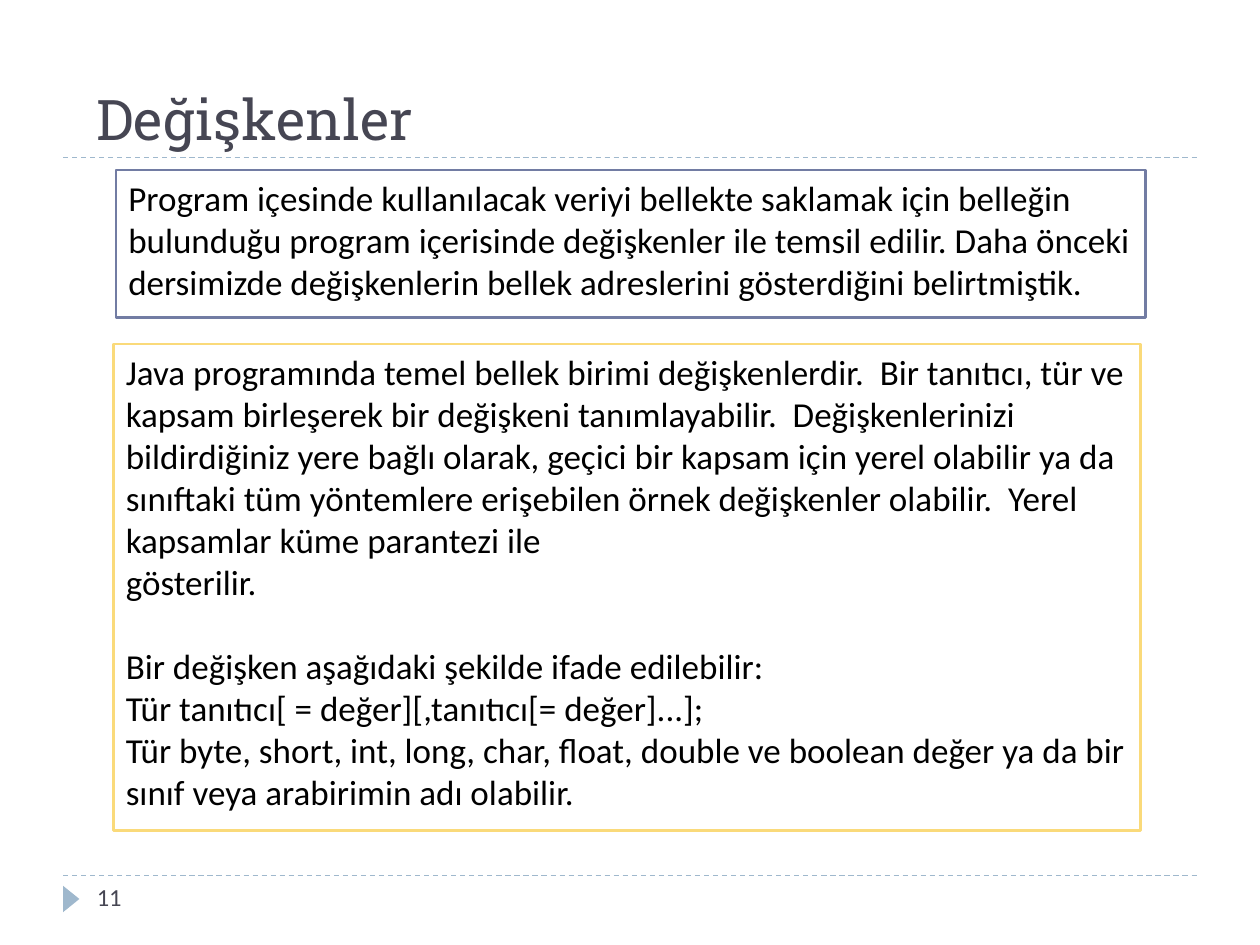
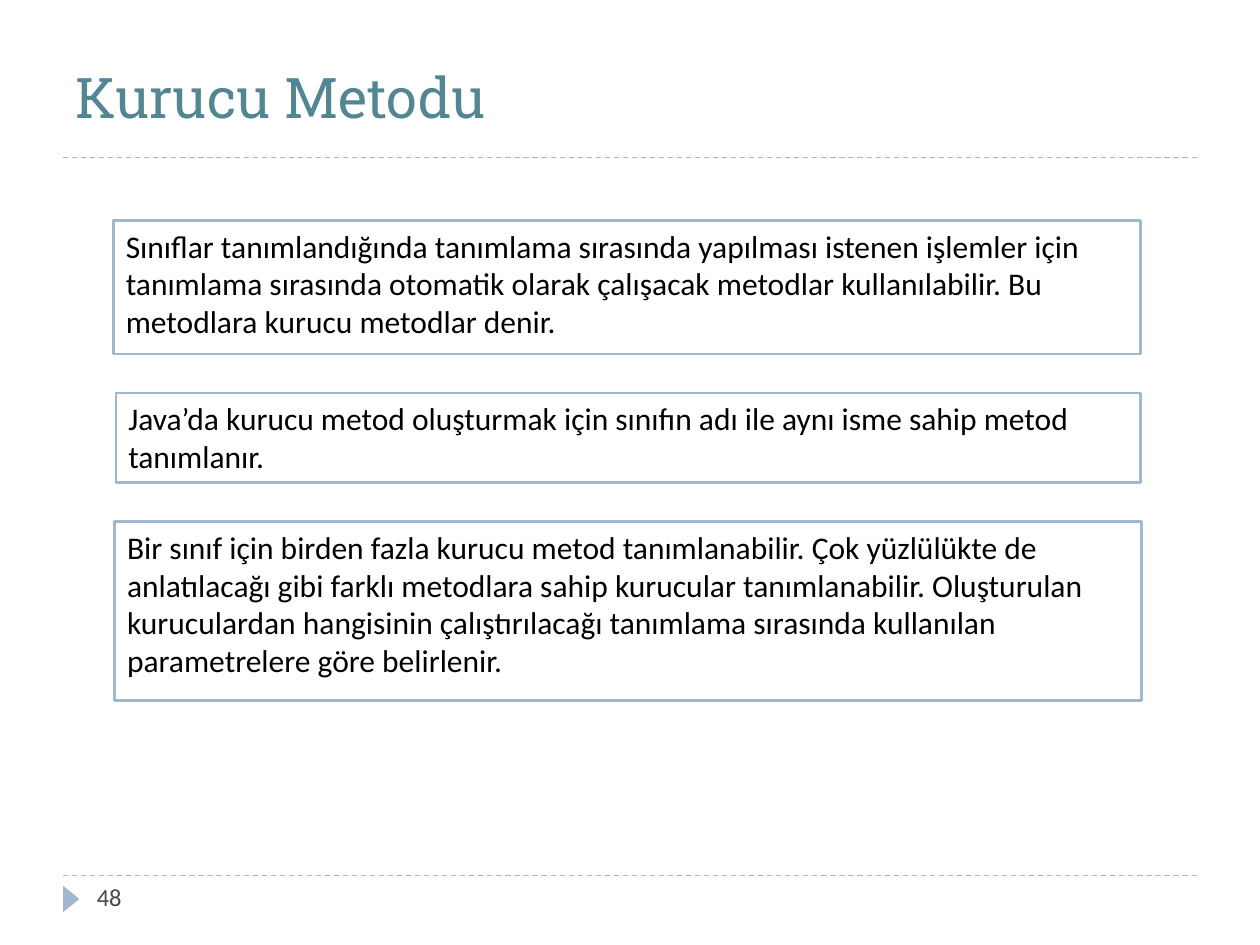
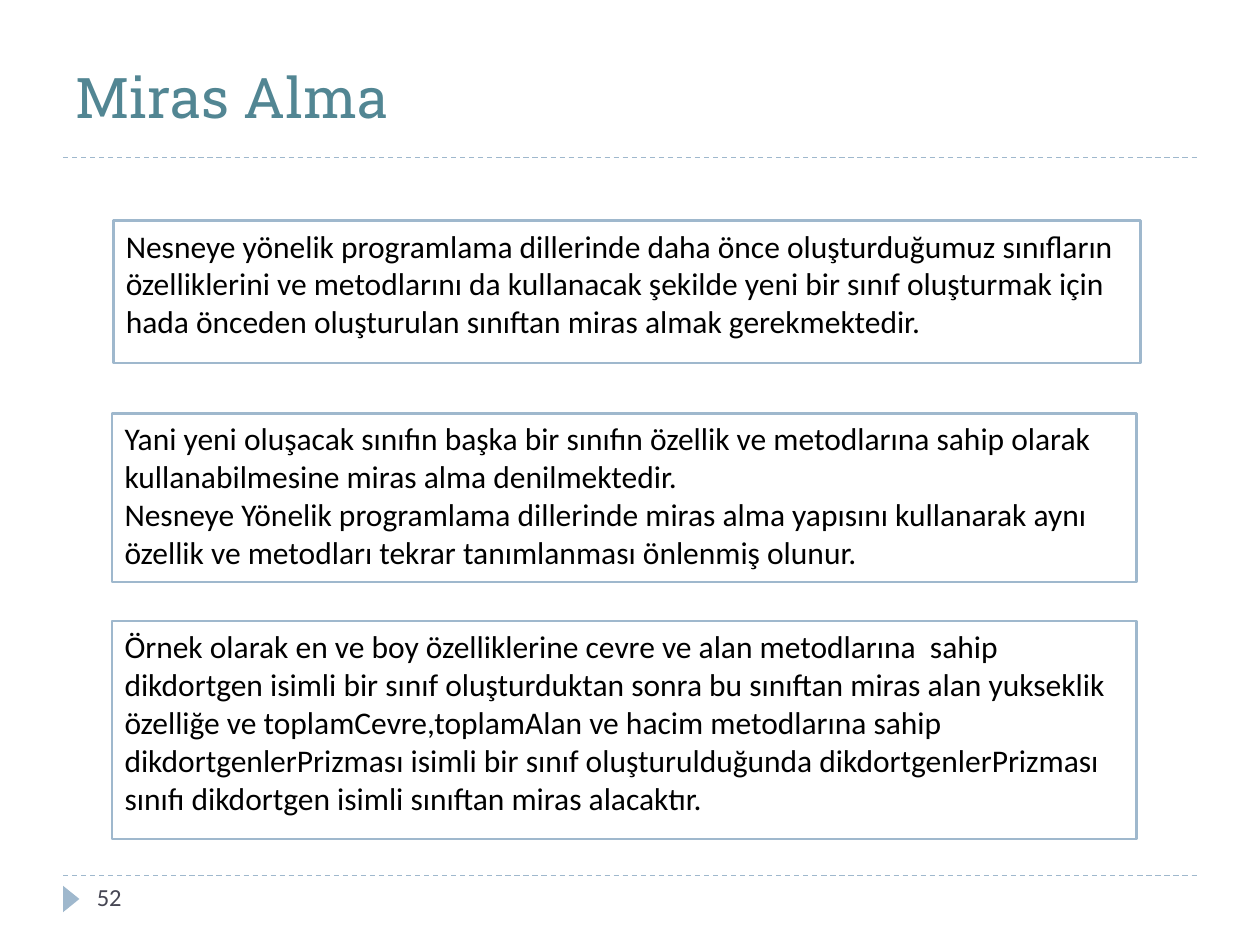
from dataclasses import dataclass

from lxml.etree import SubElement
from pptx import Presentation
from pptx.dml.color import RGBColor as RGB
from pptx.enum.dml import MSO_LINE as DASH
from pptx.enum.shapes import MSO_CONNECTOR as CONN, MSO_SHAPE as SHAPE
from pptx.enum.text import MSO_ANCHOR as ANCHOR, PP_ALIGN as ALIGN
from pptx.oxml.ns import qn
from pptx.util import Emu, Pt

# Scale: 100 px to the inch
PX = 9144

# Colours and fonts
WHITE = RGB(0xFF, 0xFF, 0xFF)
BLACK = RGB(0x00, 0x00, 0x00)
SLATE = RGB(0x46, 0x46, 0x53)
TEAL = RGB(0x52, 0x86, 0x93)
SKY = RGB(0x9F, 0xB8, 0xCD)
INDIGO = RGB(0x72, 0x7C, 0xA3)
YELLOW = RGB(0xFA, 0xDA, 0x7A)
HEAD_FONT, BODY_FONT = "Roboto Slab", "Calibri"

# Shared places
RULE_LEFT, RULE_RIGHT = 50, 950
RULE_YS = (695, 125)
MARKER = (46, 707, 21, 13)
NUMBER = (67, 695, 217, 40)
TITLE_SIZE = (900, 58)


@dataclass(frozen=True)
class Title:
    text: str
    left: int = 50
    top: int = 50
    color: RGB = TEAL


@dataclass(frozen=True)
class Para:
    text: str
    before: int = 0


@dataclass(frozen=True)
class Box:
    left: int
    top: int
    width: int
    height: int
    paras: tuple[Para, ...]
    line: RGB = SKY
    size: int = 18


@dataclass(frozen=True)
class Page:
    number: int
    title: Title
    boxes: tuple[Box, ...]


PAGES = (
    Page(11, Title("Değişkenler", 67, 67, SLATE), (
        Box(90, 273, 815, 386, (
            Para("Java programında temel bellek birimi değişkenlerdir.  Bir tanıtıcı, tür ve "
                 "kapsam birleşerek bir değişkeni tanımlayabilir.  Değişkenlerinizi "
                 "bildirdiğiniz yere bağlı olarak, geçici bir kapsam için yerel olabilir ya da "
                 "sınıftaki tüm yöntemlere erişebilen örnek değişkenler olabilir.  Yerel "
                 "kapsamlar küme parantezi ile"),
            Para("gösterilir."),
            Para("Bir değişken aşağıdaki şekilde ifade edilebilir:", before=24),
            Para("Tür tanıtıcı[ = değer][,tanıtıcı[= değer]...];"),
            Para("Tür byte, short, int, long, char, float, double ve boolean değer ya da bir "
                 "sınıf veya arabirimin adı olabilir."),
        ), YELLOW, 20),
        # Slightly wider, so that the text keeps to three lines
        Box(92, 135, 817, 117, (
            Para("Program içesinde kullanılacak veriyi bellekte saklamak için belleğin "
                 "bulunduğu program içerisinde değişkenler ile temsil edilir. Daha önceki "
                 "dersimizde değişkenlerin bellek adreslerini gösterdiğini belirtmiştik."),
        ), INDIGO, 20),
    )),
    Page(48, Title("Kurucu Metodu"), (
        Box(90, 175, 815, 106, (
            Para("Sınıflar tanımlandığında tanımlama sırasında yapılması istenen işlemler için "
                 "tanımlama sırasında otomatik olarak çalışacak metodlar kullanılabilir. Bu "
                 "metodlara kurucu metodlar denir."),
        )),
        Box(92, 312, 813, 71, (
            Para("Java’da kurucu metod oluşturmak için sınıfın adı ile aynı isme sahip metod "
                 "tanımlanır."),
        )),
        Box(91, 414, 815, 142, (
            Para("Bir sınıf için birden fazla kurucu metod tanımlanabilir. Çok yüzlülükte de "
                 "anlatılacağı gibi farklı metodlara sahip kurucular tanımlanabilir. "
                 "Oluşturulan kuruculardan hangisinin çalıştırılacağı tanımlama sırasında "
                 "kullanılan parametrelere göre belirlenir."),
        )),
    )),
    Page(52, Title("Miras Alma"), (
        Box(90, 175, 815, 113, (
            Para("Nesneye yönelik programlama dillerinde daha önce oluşturduğumuz sınıfların "
                 "özelliklerini ve metodlarını da kullanacak şekilde yeni bir sınıf oluşturmak "
                 "için hada önceden oluşturulan sınıftan miras almak gerekmektedir."),
        )),
        Box(89, 328, 813, 134, (
            Para("Yani yeni oluşacak sınıfın başka bir sınıfın özellik ve metodlarına sahip "
                 "olarak kullanabilmesine miras alma denilmektedir."),
            Para("Nesneye Yönelik programlama dillerinde miras alma yapısını kullanarak aynı "
                 "özellik ve metodları tekrar tanımlanması önlenmiş olunur."),
        )),
        Box(89, 493, 813, 173, (
            Para("Örnek olarak en ve boy özelliklerine cevre ve alan metodlarına  sahip "
                 "dikdortgen isimli bir sınıf oluşturduktan sonra bu sınıftan miras alan "
                 "yukseklik özelliğe ve toplamCevre,toplamAlan ve hacim metodlarına sahip "
                 "dikdortgenlerPrizması isimli bir sınıf oluşturulduğunda "
                 "dikdortgenlerPrizması sınıfı dikdortgen isimli sınıftan miras alacaktır."),
        )),
    )),
)


def px(*values: int) -> list[Emu]:
    return [Emu(v * PX) for v in values]


def write(tf, paras: tuple[Para, ...], font: str, size: int, color: RGB, anchor=ANCHOR.TOP) -> None:
    for name, value in {"word_wrap": True, "vertical_anchor": anchor}.items():
        setattr(tf, name, value)
    for i, para in enumerate(paras):
        p = tf.add_paragraph() if i else tf.paragraphs[0]
        for name, value in {"alignment": ALIGN.LEFT, "space_before": Pt(para.before)}.items():
            setattr(p, name, value)
        r = p.add_run()
        r.text = para.text
        for name, value in {"name": font, "size": Pt(size)}.items():
            setattr(r.font, name, value)
        r.font.color.rgb = color


def add_label(s, place: tuple[int, ...], text: str, font: str, size: int, color: RGB,
              anchor=ANCHOR.TOP) -> None:
    sp = s.shapes.add_textbox(*px(*place))
    write(sp.text_frame, (Para(text),), font, size, color, anchor)


def add_filled(s, kind: SHAPE, place: tuple[int, ...], fill: RGB):
    sp = s.shapes.add_shape(kind, *px(*place))
    sp.shadow.inherit = False
    sp.fill.solid()
    sp.fill.fore_color.rgb = fill
    return sp


def add_rule(s, y: int) -> None:
    cx = s.shapes.add_connector(CONN.STRAIGHT, *px(RULE_LEFT, y, RULE_RIGHT, y))
    for name, value in {"width": Pt(0.75), "dash_style": DASH.DASH}.items():
        setattr(cx.line, name, value)
    cx.line.color.rgb = SKY
    SubElement(cx._element.spPr, qn("a:effectLst"))


def add_box(s, box: Box) -> None:
    place = (box.left, box.top, box.width, box.height)
    sp = add_filled(s, SHAPE.ROUNDED_RECTANGLE, place, WHITE)
    sp.adjustments[0] = 0
    sp.line.color.rgb = box.line
    sp.line.width = Pt(1.5)
    write(sp.text_frame, box.paras, BODY_FONT, box.size, BLACK)


def add_frame(s, page: Page) -> None:
    # Rules, marker and page number
    for y in RULE_YS:
        add_rule(s, y)
    marker = add_filled(s, SHAPE.ISOSCELES_TRIANGLE, MARKER, SKY)
    marker.rotation = 90
    marker.line.fill.background()
    add_label(s, NUMBER, str(page.number), BODY_FONT, 14, SLATE)
    # Title
    title = page.title
    add_label(s, (title.left, title.top, *TITLE_SIZE), title.text, HEAD_FONT, 32,
              title.color, ANCHOR.BOTTOM)


def main() -> None:
    prs = Presentation()
    prs.slide_width, prs.slide_height = px(1000, 750)
    for page in PAGES:
        s = prs.slides.add_slide(prs.slide_layouts[6])
        add_frame(s, page)
        for box in page.boxes:
            add_box(s, box)
    prs.save("out.pptx")


if __name__ == "__main__":
    main()
